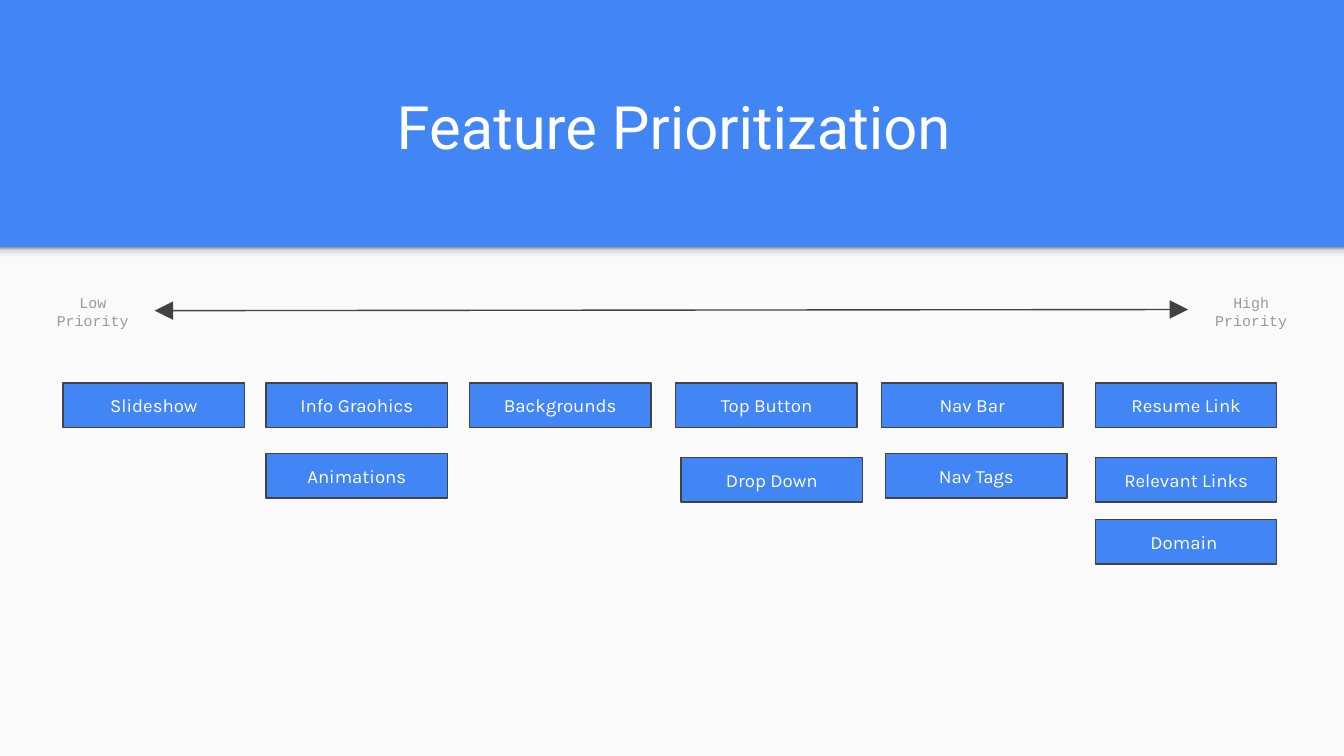
from copy import deepcopy

from lxml.etree import SubElement
from pptx import Presentation
from pptx.dml.color import RGBColor
from pptx.enum.shapes import MSO_CONNECTOR as Connector, MSO_SHAPE as Shape
from pptx.enum.text import MSO_ANCHOR as Anchor, PP_ALIGN as Align
from pptx.oxml.ns import qn
from pptx.util import Pt

BLUE, PAPER, WHITE, DARK, GRAY = "4285F4", "FAFAFA", "FFFFFF", "424242", "999999"
SHADE = [(0, "F9F9F9"), (0.36, "F9F9F9"), (0.8, "DEDEDE"), (1, "999999")]
CARD_WIDTH, CARD_HEIGHT = 97.2, 23.8

FEATURES = [
    (33.8, [("Slideshow", 0, 0)]),
    (142.5, [("Info Graohics", 0, 0), ("Animations", 0, 37.8)]),
    (251.5, [("Backgrounds", 0, 0)]),
    (362, [("Top Button", 0, 0), ("Drop Down", 2.8, 40)]),
    (472.2, [("Nav Bar", 0, 0), ("Nav Tags", 2.2, 37.8)]),
    (586.8, [("Resume Link", 0, 0), ("Relevant Links", 0, 40), ("Domain ", 0, 73.2)]),
]


def color(value):
    return RGBColor.from_string(value)


def write(shape, text, font, size, ink, anchor=Anchor.MIDDLE):
    frame = shape.text_frame
    frame.word_wrap = True
    frame.vertical_anchor = anchor
    frame.margin_left = frame.margin_right = Pt(7.2)
    frame.margin_top = frame.margin_bottom = Pt(7.2)
    frame.text = text
    para = frame.paragraphs[0]
    para.alignment = Align.CENTER
    span = para.runs[0]
    span.font.name = font
    span.font.size = Pt(size)
    span.font.color.rgb = color(ink)


def add_box(shapes, left, top, width, height, fill):
    box = shapes.add_shape(Shape.RECTANGLE, Pt(left), Pt(top), Pt(width), Pt(height))
    box.shadow.inherit = False
    box.fill.solid()
    box.fill.fore_color.rgb = color(fill)
    box.line.fill.background()
    return box


def add_label(shapes, left, top, width, height, text, font, size, ink, anchor=Anchor.MIDDLE):
    label = shapes.add_textbox(Pt(left), Pt(top), Pt(width), Pt(height))
    write(label, text, font, size, ink, anchor)


def shade(box):
    box.fill.gradient()
    box.fill.gradient_angle = 90
    stops = box.fill._fill._gradFill.find(qn("a:gsLst"))
    stops.append(deepcopy(stops[0]))
    stops.append(deepcopy(stops[0]))
    for stop, (position, value) in zip(box.fill.gradient_stops, SHADE):
        stop.position = position
        stop.color.rgb = color(value)


def add_backdrop(page, left, top, width, height):
    page.background.fill.solid()
    page.background.fill.fore_color.rgb = color(BLUE)
    add_box(page.shapes, left, top, width, height, PAPER)
    shade(add_box(page.shapes, left, top, width, 8.6, PAPER))


def add_priority_scale(page, left, top, width, height):
    group = page.shapes.add_group_shape().shapes
    start, end = left + 66.2, left + width - 67.7
    middle = top + height / 2
    arrow = group.add_connector(Connector.STRAIGHT, Pt(start), Pt(middle - 0.6), Pt(end), Pt(middle - 1.2))
    arrow.line.color.rgb = color(DARK)
    arrow.line.width = Pt(0.75)
    outline = arrow.line._get_or_add_ln()
    for tip in ("a:headEnd", "a:tailEnd"):
        SubElement(outline, qn(tip), type="triangle", w="lg", len="lg")
    SubElement(arrow._element.spPr, qn("a:effectLst"))
    add_label(group, end, top, 67.7, height, "High Priority", "Courier New", 8, GRAY)
    add_label(group, left, top, 66.2, height, "Low Priority", "Courier New", 8, GRAY)


def add_features(page, top):
    for left, cards in FEATURES:
        for name, shift, drop in cards:
            card = add_box(page.shapes, left + shift, top + drop, CARD_WIDTH, CARD_HEIGHT, BLUE)
            card.line.color.rgb = color(DARK)
            card.line.width = Pt(0.75)
            write(card, name, "Karla", 10, WHITE)


def main():
    deck = Presentation()
    deck.slide_width, deck.slide_height = Pt(720), Pt(405)
    page = deck.slides.add_slide(deck.slide_layouts[6])
    add_backdrop(page, 0, 132.5, 720, 272.5)
    add_label(page.shapes, 37.4, 33.1, 647.3, 60.5, "Feature Prioritization", "Roboto", 32, WHITE, Anchor.BOTTOM)
    add_priority_scale(page, 16.6, 154.1, 687.6, 25.9)
    add_features(page, 205.2)
    deck.save("out.pptx")


if __name__ == "__main__":
    main()
